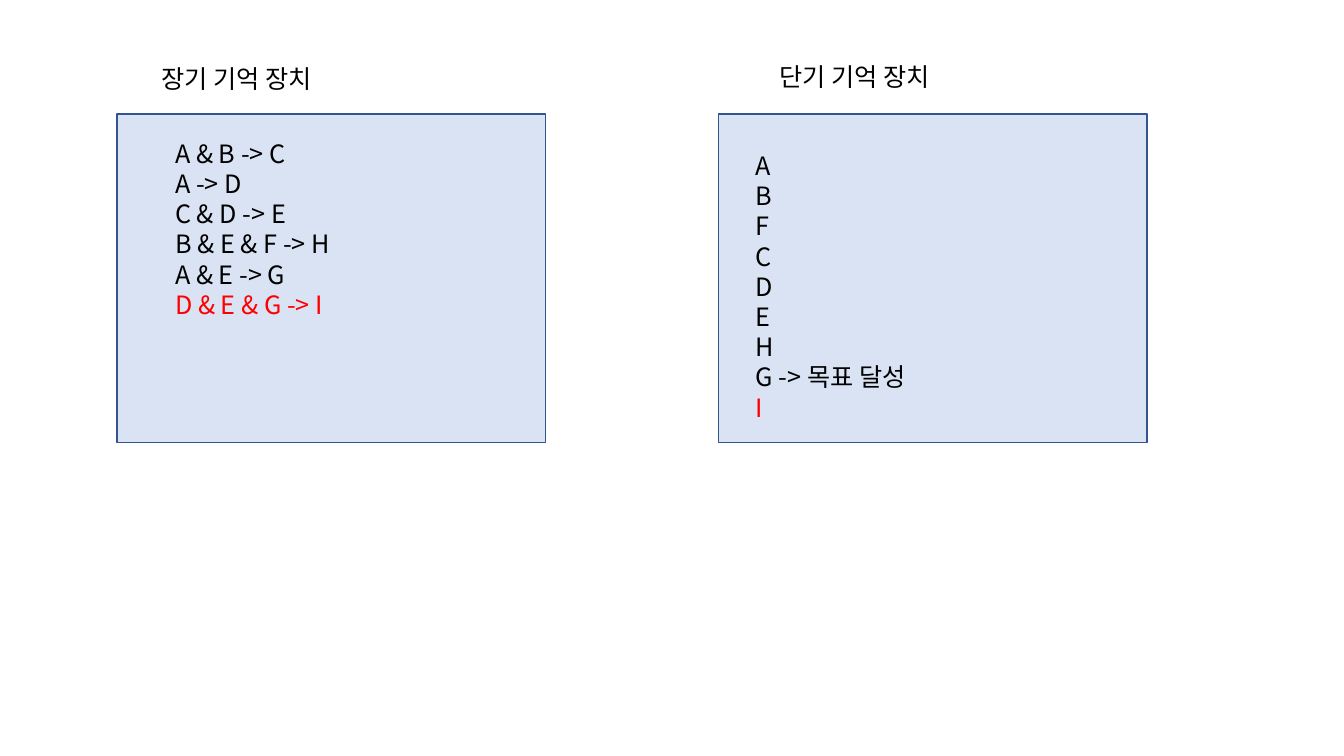
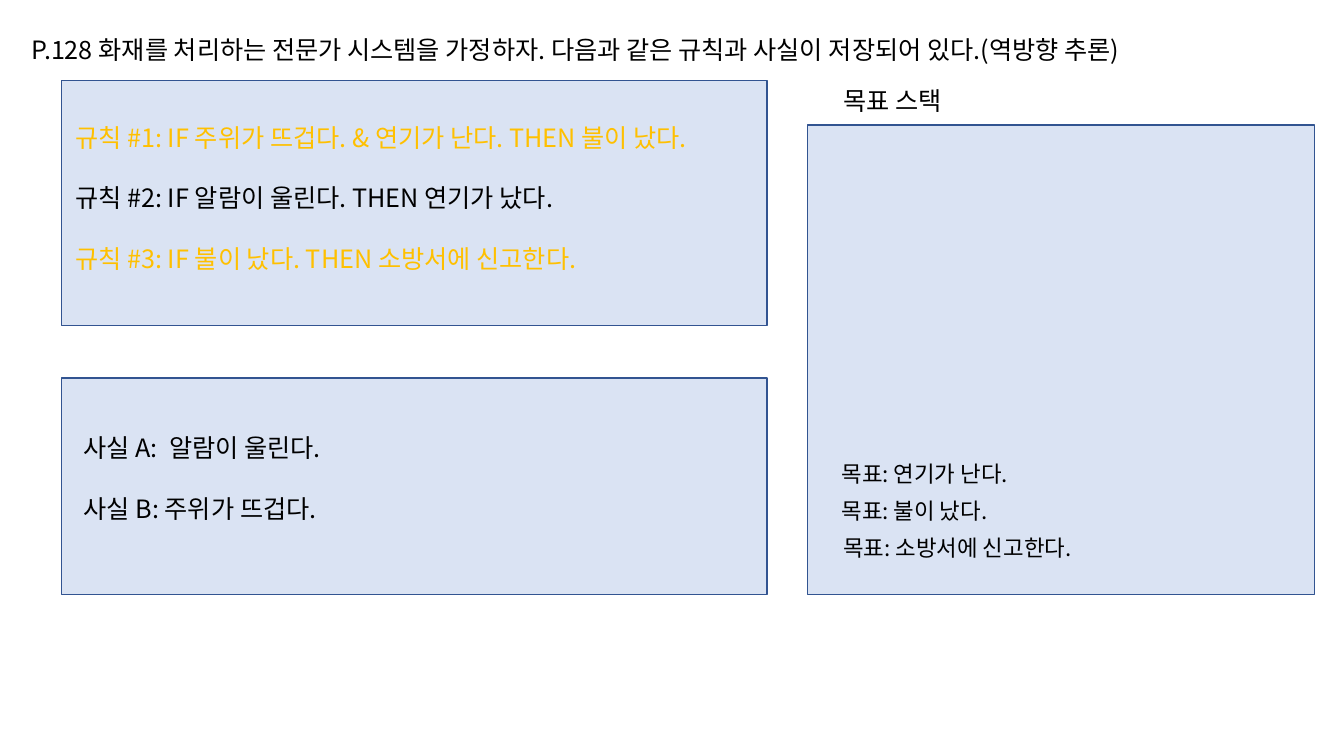
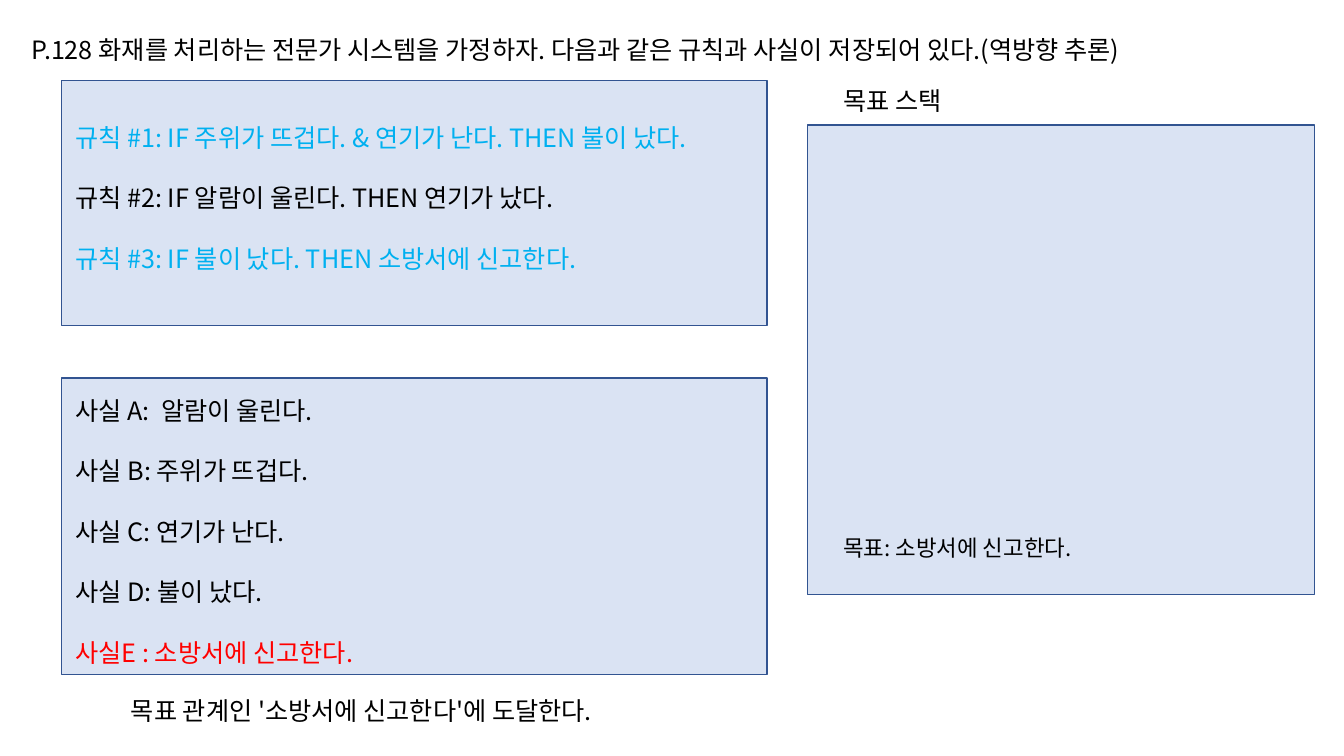
from lxml.etree import SubElement
from pptx import Presentation
from pptx.dml.color import RGBColor
from pptx.enum.shapes import MSO_SHAPE
from pptx.enum.text import MSO_ANCHOR, MSO_AUTO_SIZE, PP_ALIGN
from pptx.oxml.ns import qn
from pptx.util import Pt

FONT = "Noto Sans CJK KR"
COLORS = {
    "panel": "DAE3F3",
    "border": "325491",
    "black": "000000",
    "red": "FF0000",
    "amber": "FFC000",
    "sky": "00B0F0",
}
LINE = 1.2  # line pitch relative to the font size
BODY = 18
GOAL = 16
GAP = BODY * LINE
TITLE = "P.128 화재를 처리하는 전문가 시스템을 가정하자. 다음과 같은 규칙과 사실이 저장되어 있다.(역방향 추론)"


def add_panel(page, left, top, width, height):
    """Add a pale blue rectangle with a thin border."""
    panel = page.shapes.add_shape(
        MSO_SHAPE.RECTANGLE, Pt(left), Pt(top), Pt(width), Pt(height))
    panel.shadow.inherit = False
    panel.fill.solid()
    panel.fill.fore_color.rgb = RGBColor.from_string(COLORS["panel"])
    panel.line.color.rgb = RGBColor.from_string(COLORS["border"])
    panel.line.width = Pt(1)


def write_lines(box, lines, size=BODY, gap=0, marked=(), mark="red"):
    """Write one paragraph per line, colouring the marked line numbers."""
    frame = box.text_frame
    frame.word_wrap = True
    frame.text = "\n".join(lines)
    for number, para in enumerate(frame.paragraphs):
        para.alignment = PP_ALIGN.LEFT
        para.line_spacing = Pt(size * LINE)
        para.space_before = Pt(gap if number else 0)
        para.font.size = Pt(size)
        para.font.name = FONT
        color = COLORS[mark if number in marked else "black"]
        para.font.color.rgb = RGBColor.from_string(color)
        defaults = para._p.pPr.find(qn("a:defRPr"))
        SubElement(defaults, qn("a:ea")).set("typeface", FONT)


deck = Presentation()
deck.slide_width = Pt(960)
deck.slide_height = Pt(540)
title_layout, blank_layout = deck.slide_layouts[0], deck.slide_layouts[6]

# Slide 1: long-term and short-term memory
page = deck.slides.add_slide(blank_layout)
for left in (83.5, 513.4):
    add_panel(page, left, 81.4, 306, 234.7)

rules = ["A & B -> C", "A -> D", "C & D -> E", "B & E & F -> H",
         "A & E -> G", "D & E & G -> I"]
facts = [*"ABFCDEH", "G -> 목표 달성", "I"]
for left, top, width, height, lines, marked in (
    (118.1, 95, 236.9, 138.2, rules, [5]),
    (532.8, 103.7, 270, 203.8, facts, [8]),
    (108, 41.8, 253.4, 28.8, ["장기 기억 장치"], []),
    (549.4, 40.3, 253.4, 28.8, ["단기 기억 장치"], []),
):
    box = page.shapes.add_textbox(Pt(left), Pt(top), Pt(width), Pt(height))
    write_lines(box, lines, marked=marked)

# Slides 2 and 3: backward chaining before and after the goals are met
rules = [
    "규칙 #1: IF 주위가 뜨겁다. & 연기가 난다. THEN 불이 났다.",
    "규칙 #2: IF 알람이 울린다. THEN 연기가 났다.",
    "규칙 #3: IF 불이 났다. THEN 소방서에 신고한다.",
]
facts = ["사실 A:  알람이 울린다.", "사실 B: 주위가 뜨겁다."]
new_facts = ["사실 C: 연기가 난다.", "사실 D: 불이 났다.", "사실E : 소방서에 신고한다."]
last_goal = (595.4, 378, "목표: 소방서에 신고한다.")
open_goals = [(594, 351.4, "목표: 불이 났다."), (594, 325.4, "목표: 연기가 난다.")]
stages = (
    ("amber", 154.8, (52.6, 305.3, 270, 72.7), facts, [], [last_goal, *open_goals], None),
    ("sky", 211.7, (46.8, 278.6, 270, 203.8), facts + new_facts, [4], [last_goal],
     "목표 관계인 '소방서에 신고한다'에 도달한다."),
)
for mark, facts_height, facts_place, fact_lines, marked, goals, conclusion in stages:
    page = deck.slides.add_slide(title_layout)
    title, subtitle = page.placeholders
    subtitle.element.getparent().remove(subtitle.element)
    title.left, title.top, title.width, title.height = Pt(15.1), Pt(18), Pt(882), Pt(31.7)
    write_lines(title, [TITLE])
    title.text_frame.vertical_anchor = MSO_ANCHOR.BOTTOM
    title.text_frame.auto_size = MSO_AUTO_SIZE.NONE
    title.text_frame.paragraphs[0].line_spacing = 0.9

    add_panel(page, 43.9, 57.6, 504, 175)
    add_panel(page, 43.9, 270, 504, facts_height)
    add_panel(page, 576.7, 89.3, 362.2, 335.5)

    box = page.shapes.add_textbox(Pt(46.8), Pt(83.5), Pt(710.6), Pt(138.2))
    write_lines(box, rules, gap=GAP, marked=[0, 2], mark=mark)
    box = page.shapes.add_textbox(*map(Pt, facts_place))
    write_lines(box, fact_lines, gap=GAP, marked=marked)
    box = page.shapes.add_textbox(Pt(595.4), Pt(57.6), Pt(205.2), Pt(28.8))
    write_lines(box, ["목표 스택"])

    for left, top, goal in goals:
        box = page.shapes.add_textbox(Pt(left), Pt(top), Pt(327.6), Pt(26.6))
        write_lines(box, [goal], size=GOAL)
    if conclusion:
        box = page.shapes.add_textbox(Pt(86.4), Pt(493.2), Pt(647.3), Pt(28.8))
        write_lines(box, [conclusion])

deck.save("out.pptx")
